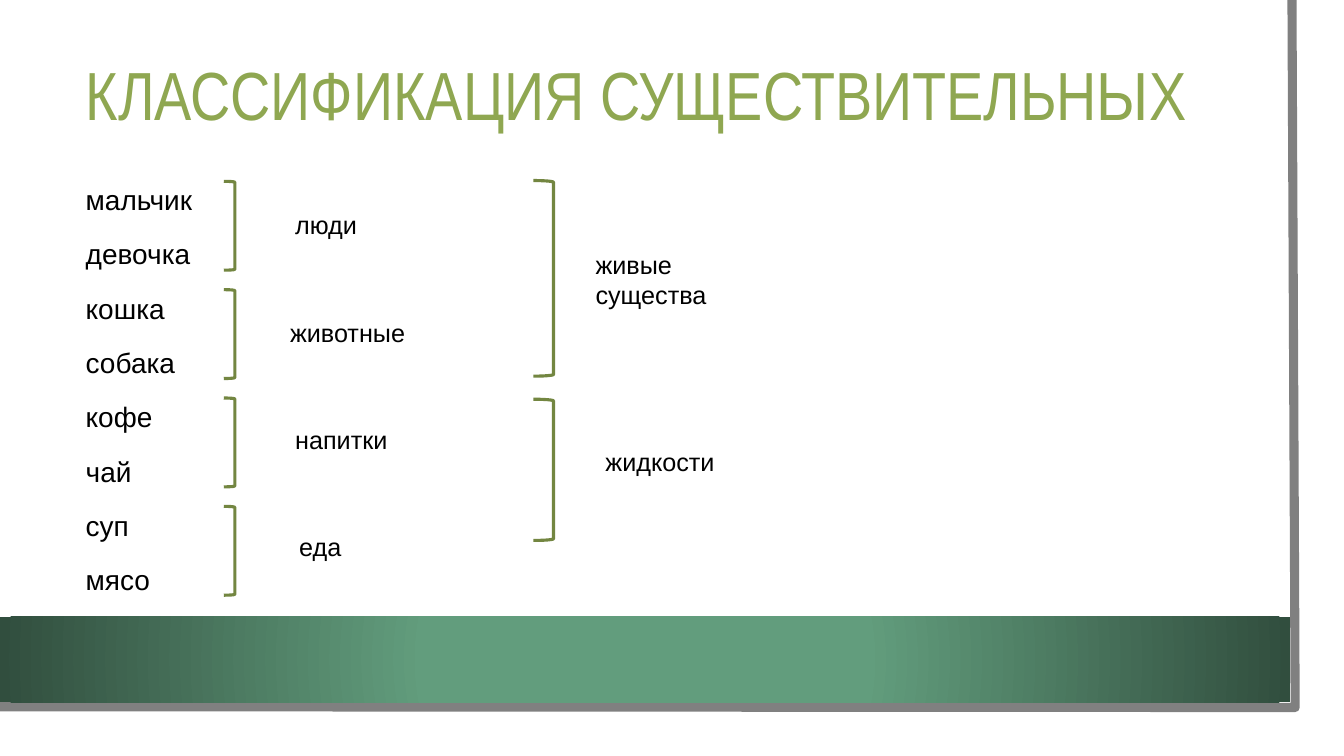
from dataclasses import dataclass

from pptx import Presentation
from pptx.dml.color import RGBColor
from pptx.enum.shapes import MSO_SHAPE
from pptx.enum.text import MSO_ANCHOR, MSO_AUTO_SIZE
from pptx.oxml import parse_xml
from pptx.oxml.ns import nsdecls, qn
from pptx.util import Cm, Pt


@dataclass(frozen=True)
class Theme:
    paper: str = "FFFFFF"
    frame: str = "808080"
    band_center: str = "629D7D"
    band_edge: str = "314E3E"
    title: str = "8FA751"
    bracket: str = "738641"
    text: str = "000000"
    title_font: str = "Arial Narrow"
    text_font: str = "Arial"
    title_size: float = 48.6
    word_size: float = 20
    label_size: float = 18
    frame_width: float = 6.5
    bracket_width: float = 2.25


class SlideBuilder:
    def __init__(self, page, theme):
        self.page = page
        self.theme = theme

    def shape(self, kind, left, top, width, height):
        shape = self.page.shapes.add_shape(kind, Cm(left), Cm(top), Cm(width), Cm(height))
        shape.shadow.inherit = False
        return shape

    def sheet(self, width, height):
        sheet = self.shape(MSO_SHAPE.RECTANGLE, 0, 0, width, height)
        sheet.fill.solid()
        sheet.fill.fore_color.rgb = RGBColor.from_string(self.theme.paper)
        sheet.line.fill.background()

    def frame(self, points):
        corners = [(Cm(x), Cm(y)) for x, y in points]
        outline = self.page.shapes.build_freeform(*corners[0])
        outline.add_line_segments(corners[1:], close=False)
        frame = outline.convert_to_shape()
        frame.shadow.inherit = False
        frame.fill.background()
        frame.line.color.rgb = RGBColor.from_string(self.theme.frame)
        frame.line.width = Pt(self.theme.frame_width)

    def band(self, left, top, width, height):
        band = self.shape(MSO_SHAPE.RECTANGLE, left, top, width, height)
        band.line.fill.background()
        band.fill.gradient()
        stops = ((0.34, self.theme.band_center), (1, self.theme.band_edge))
        for stop, (position, color) in zip(band.fill.gradient_stops, stops):
            stop.position = position
            stop.color.rgb = RGBColor.from_string(color)
        gradient = band._element.spPr.find(qn("a:gradFill"))
        gradient.replace(
            gradient.find(qn("a:lin")),
            parse_xml(
                f'<a:path {nsdecls("a")} path="circle">'
                '<a:fillToRect l="50000" t="50000" r="50000" b="50000"/></a:path>'
            ),
        )

    def bracket(self, left, top, width, height):
        bracket = self.shape(MSO_SHAPE.RIGHT_BRACKET, left, top, width, height)
        bracket.fill.background()
        bracket.line.color.rgb = RGBColor.from_string(self.theme.bracket)
        bracket.line.width = Pt(self.theme.bracket_width)

    def text(self, content, left, top, width, height, size, font, color,
             anchor=MSO_ANCHOR.TOP, spacing=None, before=None):
        box = self.page.shapes.add_textbox(Cm(left), Cm(top), Cm(width), Cm(height))
        frame = box.text_frame
        frame.word_wrap = True
        frame.vertical_anchor = anchor
        frame.text = content
        for para in frame.paragraphs:
            para.line_spacing = spacing
            para.space_before = before
            for span in para.runs:
                span.font.size = Pt(size)
                span.font.name = font
                span.font.color.rgb = RGBColor.from_string(color)
        return box

    def title(self, content, left, top, width, height):
        theme = self.theme
        self.text(content, left, top, width, height, theme.title_size,
                  theme.title_font, theme.title, MSO_ANCHOR.MIDDLE, 0.9)

    def words(self, items, left, top, width, height):
        theme = self.theme
        self.text("\n".join(items), left, top, width, height, theme.word_size,
                  theme.text_font, theme.text, MSO_ANCHOR.MIDDLE, 1.2, Pt(10))

    def label(self, content, left, top, width, height=1.02):
        theme = self.theme
        box = self.text(content, left, top, width, height, theme.label_size,
                        theme.text_font, theme.text)
        box.text_frame.auto_size = MSO_AUTO_SIZE.SHAPE_TO_FIT_TEXT


WORDS = ("мальчик", "девочка", "кошка", "собака", "кофе", "чай", "суп", "мясо")
GROUPS = (
    ("люди", 7.19, 2.44),
    ("животные", 7.06, 3.84),
    ("напитки", 7.19, 3.71),
    ("еда", 7.29, 2.44),
)


def main():
    deck = Presentation()
    deck.slide_width = Cm(33.87)
    deck.slide_height = Cm(19.05)
    page = deck.slides.add_slide(deck.slide_layouts[6])
    builder = SlideBuilder(page, Theme())

    builder.sheet(33.27, 18.47)
    builder.frame([(32.56, 0), (32.64, 17.83), (-0.08, 17.81)])
    builder.band(0, 15.54, 32.51, 2.16)
    builder.title("КЛАССИФИКАЦИЯ СУЩЕСТВИТЕЛЬНЫХ", 1.91, 0.89, 28.88, 3.2)
    builder.words(WORDS, 1.91, 4.09, 28.88, 11.28)

    for index, (name, left, width) in enumerate(GROUPS):
        builder.bracket(5.64, 4.57 + 2.73 * index, 0.28, 2.24)
        builder.label(name, left, 5.16 + 2.7 * index, width)

    builder.bracket(13.44, 4.55, 0.51, 4.93)
    builder.label("живые существа", 14.76, 6.15, 4.57, 1.8)
    builder.bracket(13.44, 10.06, 0.51, 3.56)
    builder.label("жидкости", 15.01, 11.13, 3.91)

    deck.save("out.pptx")


if __name__ == "__main__":
    main()
